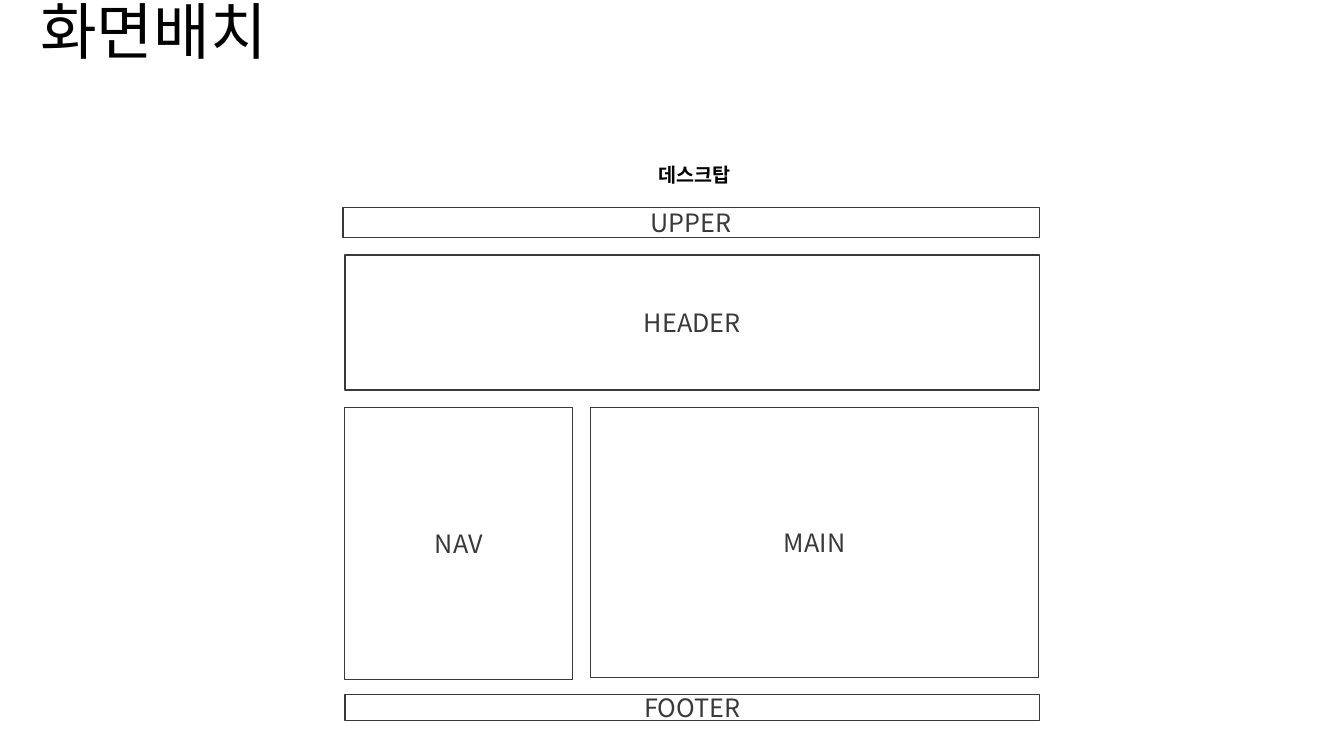
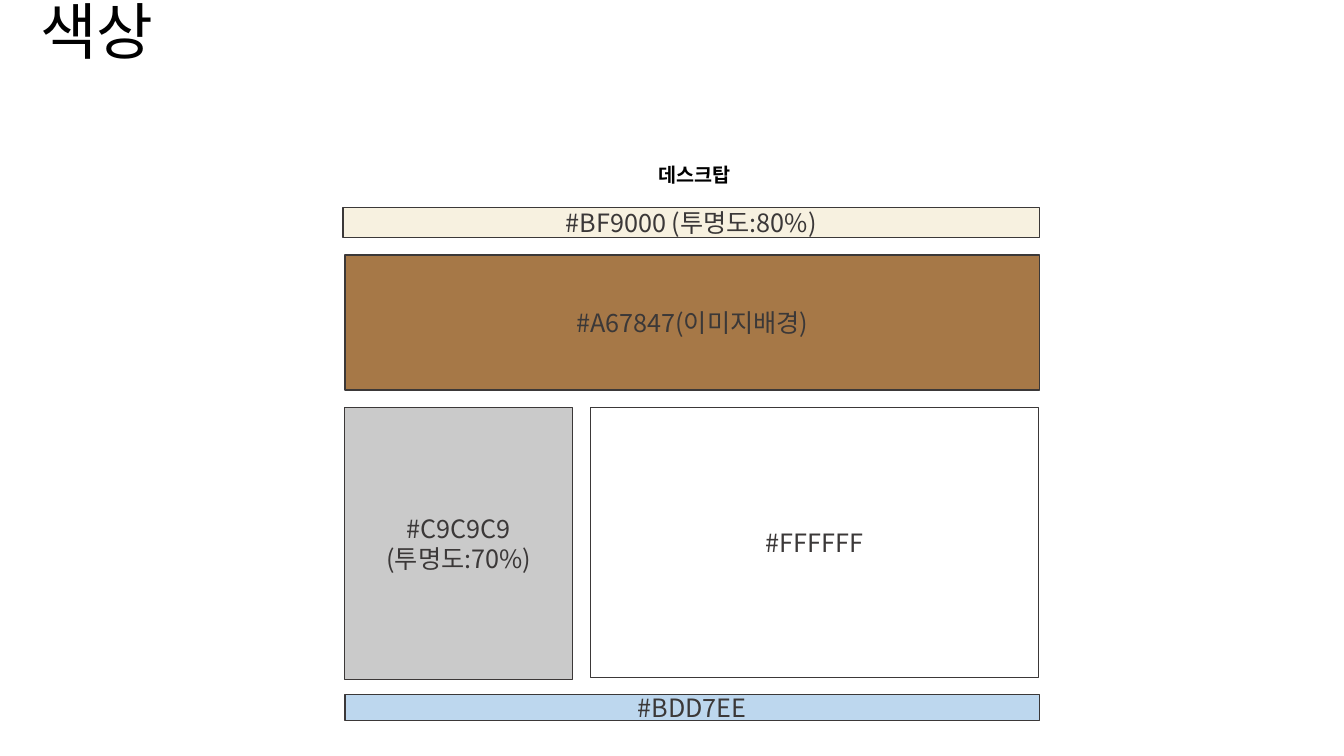
"""Builds two slides that show a desktop page layout and its colours."""
from lxml import etree
from pptx import Presentation
from pptx.dml.color import RGBColor
from pptx.enum.shapes import MSO_SHAPE
from pptx.enum.text import MSO_ANCHOR, PP_ALIGN
from pptx.oxml.ns import qn
from pptx.util import Emu, Pt

RECTANGLE = MSO_SHAPE.RECTANGLE
MIDDLE = MSO_ANCHOR.MIDDLE
LEFT, CENTER = PP_ALIGN.LEFT, PP_ALIGN.CENTER

FONT = "Noto Sans CJK KR"
BLACK, CHARCOAL = "000000", "3B3838"
EMU_PER_PX = 9144
SLIDE_SIZE = (1333, 750)

TITLE_BOX = (30, 0, 709, 68)
DEVICE_BOX = (639, 153, 100, 40)
DEVICE = "데스크탑"

PAGE_TOP, PAGE_LEFT, PAGE_RIGHT, GAP = 206, 342, 1031, 17
ROWS = [
    (30, [("upper", 340, PAGE_RIGHT, 30)]),
    (134, [("header", PAGE_LEFT, PAGE_RIGHT, 134)]),
    (268, [("nav", PAGE_LEFT, 568, 270), ("main", 586, 1030, 268)]),
    (26, [("footer", PAGE_LEFT, PAGE_RIGHT, 26)]),
]

SLIDES = [
    ("화면배치", {
        "upper": (["UPPER"], None, 100),
        "header": (["HEADER"], None, 100),
        "nav": (["NAV"], None, 100),
        "main": (["MAIN"], None, 100),
        "footer": (["FOOTER"], None, 100),
    }),
    ("색상", {
        "upper": (["#BF9000 (투명도:80%)"], "BF9000", 12),
        "header": (["#A67847(이미지배경)"], "A67847", 100),
        "nav": (["#C9C9C9", "(투명도:70%)"], "C9C9C9", 98),
        "main": (["#FFFFFF"], None, 100),
        "footer": (["#BDD7EE"], "BDD7EE", 100),
    }),
]


def color(hex_string):
    return RGBColor.from_string(hex_string)


def px(*lengths):
    return [Emu(length * EMU_PER_PX) for length in lengths]


def write(shape, lines, size, text_color, align=CENTER, bold=False, spacing=None):
    frame = shape.text_frame
    frame.word_wrap = True
    frame.vertical_anchor = MIDDLE
    frame.text = "\n".join(lines)
    for paragraph in frame.paragraphs:
        paragraph.alignment = align
        paragraph.line_spacing = spacing
        font = paragraph.font
        font.name, font.size, font.bold = FONT, Pt(size), bold
        font.color.rgb = color(text_color)
        properties = paragraph._p.pPr.find(qn("a:defRPr"))
        etree.SubElement(properties, qn("a:ea"), typeface=FONT)


def paint(shape, fill, opacity):
    if fill is None:
        shape.fill.background()
        return
    shape.fill.solid()
    shape.fill.fore_color.rgb = color(fill)
    if opacity < 100:
        fill_color = shape._element.spPr.find(qn("a:solidFill"))[0]
        etree.SubElement(fill_color, qn("a:alpha"), val=str(opacity * 1000))


def add_region(slide, box, lines, fill, opacity):
    shape = slide.shapes.add_shape(RECTANGLE, *px(*box))
    shape.shadow.inherit = False
    paint(shape, fill, opacity)
    shape.line.color.rgb = color(CHARCOAL)
    shape.line.width = Pt(1)
    write(shape, lines, 18, CHARCOAL)


def add_page(slide, regions):
    top = PAGE_TOP
    for row_height, cells in ROWS:
        for name, left, right, height in cells:
            add_region(slide, (left, top, right - left, height), *regions[name])
        top += row_height + GAP


def main():
    presentation = Presentation()
    presentation.slide_width, presentation.slide_height = px(*SLIDE_SIZE)
    for title, regions in SLIDES:
        slide = presentation.slides.add_slide(presentation.slide_layouts[6])
        title_box = slide.shapes.add_textbox(*px(*TITLE_BOX))
        write(title_box, [title], 44, BLACK, align=LEFT, spacing=0.9)
        device_box = slide.shapes.add_textbox(*px(*DEVICE_BOX))
        write(device_box, [DEVICE], 14, BLACK, bold=True)
        add_page(slide, regions)
    presentation.save("out.pptx")


if __name__ == "__main__":
    main()
